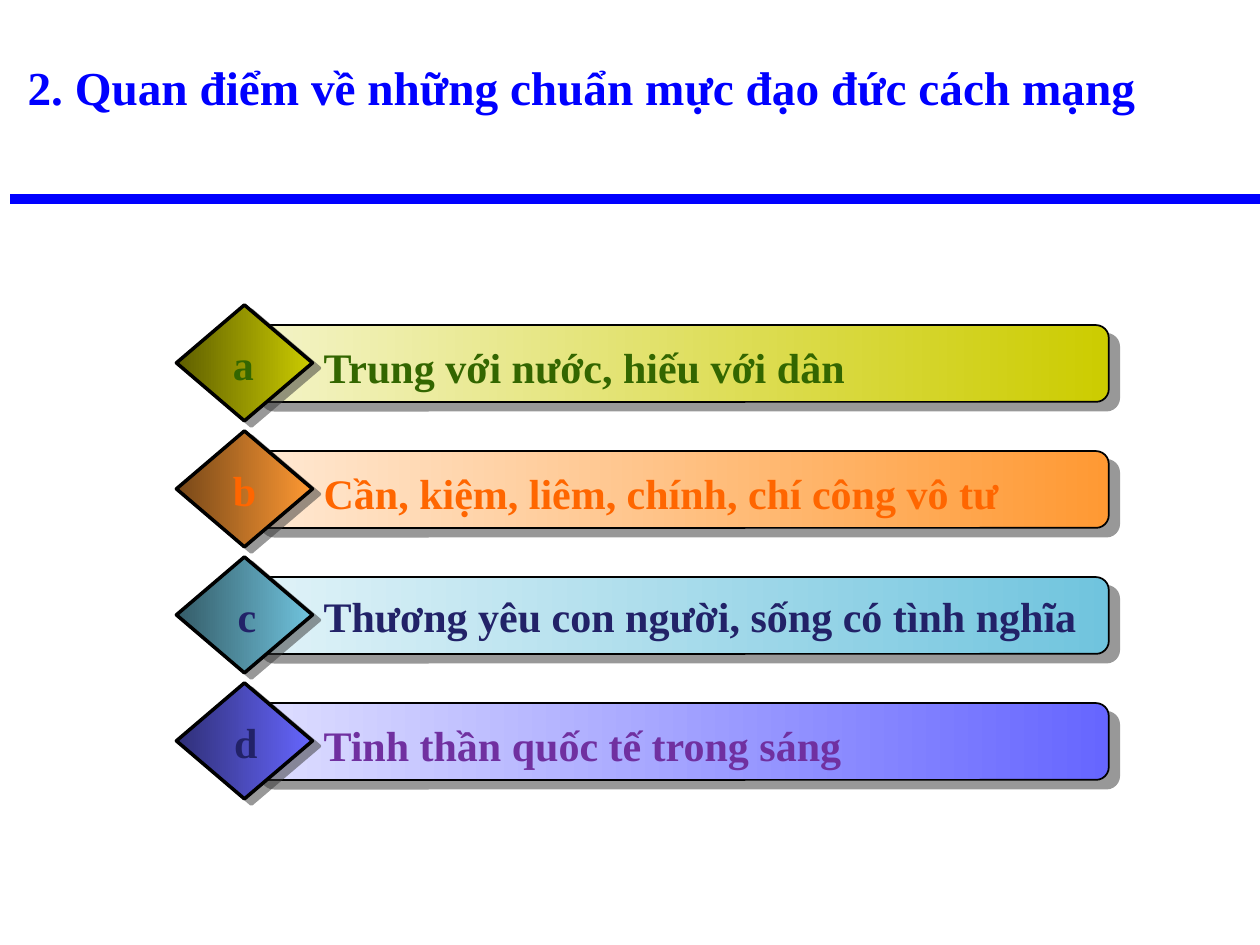
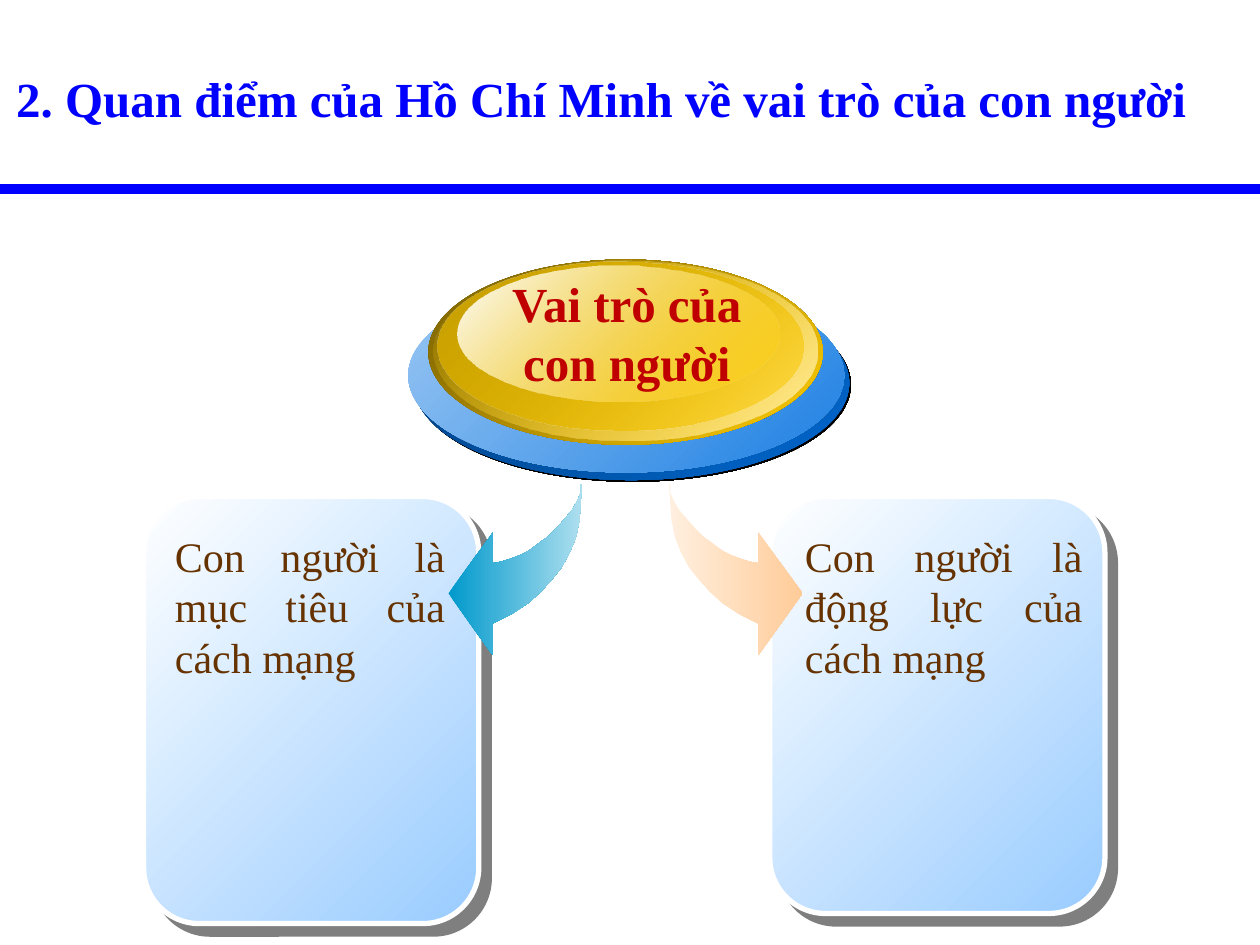
"""Build two slides on revolutionary ethics and the role of people."""
from lxml.etree import SubElement
from pptx import Presentation
from pptx.dml.color import RGBColor
from pptx.enum.shapes import MSO_CONNECTOR, MSO_SHAPE
from pptx.enum.text import PP_ALIGN
from pptx.oxml.ns import qn
from pptx.util import Inches, Pt

prs = Presentation()
prs.slide_width, prs.slide_height = Inches(10), Inches(7.5)
COL, ROW = prs.slide_width / 10, prs.slide_height / 7.5
FONT, BLUE, BLACK, WHITE = "Times New Roman", "0000FF", "000000", "FFFFFF"
rgb = RGBColor.from_string


def paint(sp, colors, angle=0, line=None, shadow=None, alphas=(100, 100)):
    """Give a shape a two-stop gradient, an outline and an offset shadow."""
    sp.fill.gradient()
    sp.fill.gradient_angle = -angle % 360
    for stop, color in zip(sp.fill.gradient_stops, colors):
        stop.color.rgb = rgb(color)
    for clr, alpha in zip(sp.fill._xPr.iter(qn("a:srgbClr")), alphas):
        if alpha < 100:
            SubElement(clr, qn("a:alpha"), val=str(alpha * 1000))
    if line:
        sp.line.color.rgb = rgb(line[0])
        sp.line.width = Pt(line[1])
    else:
        sp.line.fill.background()
    sp.shadow.inherit = False
    if shadow:
        color, alpha, dist, direction = shadow
        effects = sp._element.spPr.find(qn("a:effectLst"))
        outer = SubElement(effects, qn("a:outerShdw"), dist=str(Pt(dist)),
                           dir=str(direction * 60000), algn="ctr", rotWithShape="0")
        clr = SubElement(outer, qn("a:srgbClr"), val=color)
        SubElement(clr, qn("a:alpha"), val=str(alpha * 1000))


def write(s, text, x, y, w, h, size, color, bold=True, align=PP_ALIGN.JUSTIFY, wrap=True):
    """Add a one-paragraph text box and return its paragraph."""
    tf = s.shapes.add_textbox(int(x * COL), int(y * ROW), int(w * COL), int(h * ROW)).text_frame
    tf.word_wrap = wrap
    p = tf.paragraphs[0]
    p.text, p.alignment = text, align
    p.font.name, p.font.size, p.font.bold = FONT, Pt(size), bold
    p.font.color.rgb = rgb(color)
    return p


slides = []
for title, x, y, h, size, spacing, rule_x, rule_y in [
    ("2. Quan điểm về những chuẩn mực đạo đức cách mạng", 0.12, 0.41, 0.55, 27, 1, 0.08, 1.58),
    ("2. Quan điểm của Hồ Chí Minh về vai trò của con người", 0.03, 0.26, 0.8, 28, 1.5, 0, 1.5),
]:
    s = prs.slides.add_slide(prs.slide_layouts[6])
    rule = s.shapes.add_connector(MSO_CONNECTOR.STRAIGHT, int(rule_x * COL), int(rule_y * ROW),
                                  prs.slide_width, int(rule_y * ROW))
    rule.line.color.rgb, rule.line.width = rgb(BLUE), Pt(6)
    SubElement(rule._element.spPr, qn("a:effectLst"))
    write(s, title, x, y, 9.58, h, size, BLUE).line_spacing = spacing
    slides.append(s)
norms, roles = slides

for i, (letter, text, light, main, dark, ink, letter_ink, center, text_y) in enumerate([
    ("a", "Trung với nước, hiếu với dân", "F4F4C9", "CCCC00", "5E5E00", "336600", "336600", 1.93, 0.24),
    ("b", "Cần, kiệm, liêm, chính, chí công vô tư",
     "FFE9D4", "FF9933", "764718", "FF6600", "FF6600", 1.93, 0.24),
    ("c", "Thương yêu con người, sống có tình nghĩa",
     "E1F3F8", "70C4DE", "345B67", "222268", "222268", 1.96, 0.22),
    ("d", "Tinh thần quốc tế trong sáng", "DFDFFF", "6666FF", "2F2F76", "7030A0", "222268", 1.94, 0.24),
]):
    y = 2.42 + i
    bar = norms.shapes.add_shape(MSO_SHAPE.ROUNDED_RECTANGLE, int(1.99 * COL), int((y + 0.16) * ROW),
                                 int(6.81 * COL), int(0.61 * ROW))
    paint(bar, (light, main), line=(BLACK, 1), shadow=("333333", 50, 7.8, 40))
    diamond = norms.shapes.add_shape(MSO_SHAPE.DIAMOND, int(1.4 * COL), int(y * ROW),
                                     int(1.08 * COL), int(0.92 * ROW))
    paint(diamond, (dark, main), line=(BLACK, 2), shadow=("333333", 50, 5, 37))
    write(norms, text, 2.47, y + text_y, 6.4, 0.5, 24, ink)
    write(norms, letter, center - 0.18, y + 0.22, 0.36, 0.5, 24, letter_ink,
          align=PP_ALIGN.CENTER, wrap=False)

for text, x, h, text_x, text_w in [
    ("Con người là động lực của cách mạng", 6.11, 3.31, 6.29, 2.4),
    ("Con người là mục tiêu của cách mạng", 1.14, 3.39, 1.29, 2.34),
]:
    card = roles.shapes.add_shape(MSO_SHAPE.ROUNDED_RECTANGLE, int(x * COL), int(3.94 * ROW),
                                  int(2.66 * COL), int(h * ROW))
    paint(card, (WHITE, "99CCFF"), 45, (WHITE, 3), (BLACK, 50, 8.5, 45))
    write(roles, text, text_x, 4.16, text_w, 1.3, 24, "663300", bold=False)

arrow = [
    (4.62, 3.84), (4.61, 3.99), (4.6, 4.13), (4.57, 4.27), (4.52, 4.39), (4.46, 4.5), (4.38, 4.6),
    (4.29, 4.7), (4.19, 4.79), (4.05, 4.88), (3.91, 4.95), (3.91, 5.2), (3.56, 4.71), (3.91, 4.23),
    (3.91, 4.47), (3.97, 4.46), (4.04, 4.44), (4.12, 4.41), (4.2, 4.37), (4.28, 4.31), (4.35, 4.26),
    (4.42, 4.19), (4.48, 4.12), (4.54, 4.05), (4.58, 3.98), (4.61, 3.91), (4.61, 3.84),
]
mirrored = [(9.93 - x, y) for x, y in arrow]
for outline, colors in [(arrow, ("0099CC", "AEDFEF")), (mirrored, ("FFEFDF", "FFCC99"))]:
    points = [(int(x * COL), int(y * ROW)) for x, y in outline]
    fb = roles.shapes.build_freeform(*points[0])
    fb.add_line_segments(points[1:], close=True)
    paint(fb.convert_to_shape(), colors)

for x, y, w, h, colors, alphas, shadow in [
    (3.28, 2.27, 3.46, 1.54, ("004182", "0066CC"), (100, 100), (BLACK, 100, 1.4, 45)),
    (3.24, 2.21, 3.46, 1.54, ("9BC7F3", "1D80E3"), (100, 100), None),
    (3.4, 2.06, 3.13, 1.47, ("765E00", "FFCC00"), (100, 100), None),
    (3.44, 2.07, 3.05, 1.43, ("FFCC00", "FFEDA6"), (0, 100), None),
    (3.47, 2.08, 2.91, 1.34, ("CAA200", "FFCC00"), (100, 48), None),
    (3.63, 2.11, 2.56, 1.08, (WHITE, "FFCC00"), (100, 38), None),
]:
    oval = roles.shapes.add_shape(MSO_SHAPE.OVAL, int(x * COL), int(y * ROW), int(w * COL), int(h * ROW))
    paint(oval, colors, 45, shadow=shadow, alphas=alphas)
write(roles, "Vai trò của con người", 3.79, 2.12, 2.37, 1.04, 28, "C00000", align=PP_ALIGN.CENTER)

prs.save("out.pptx")
